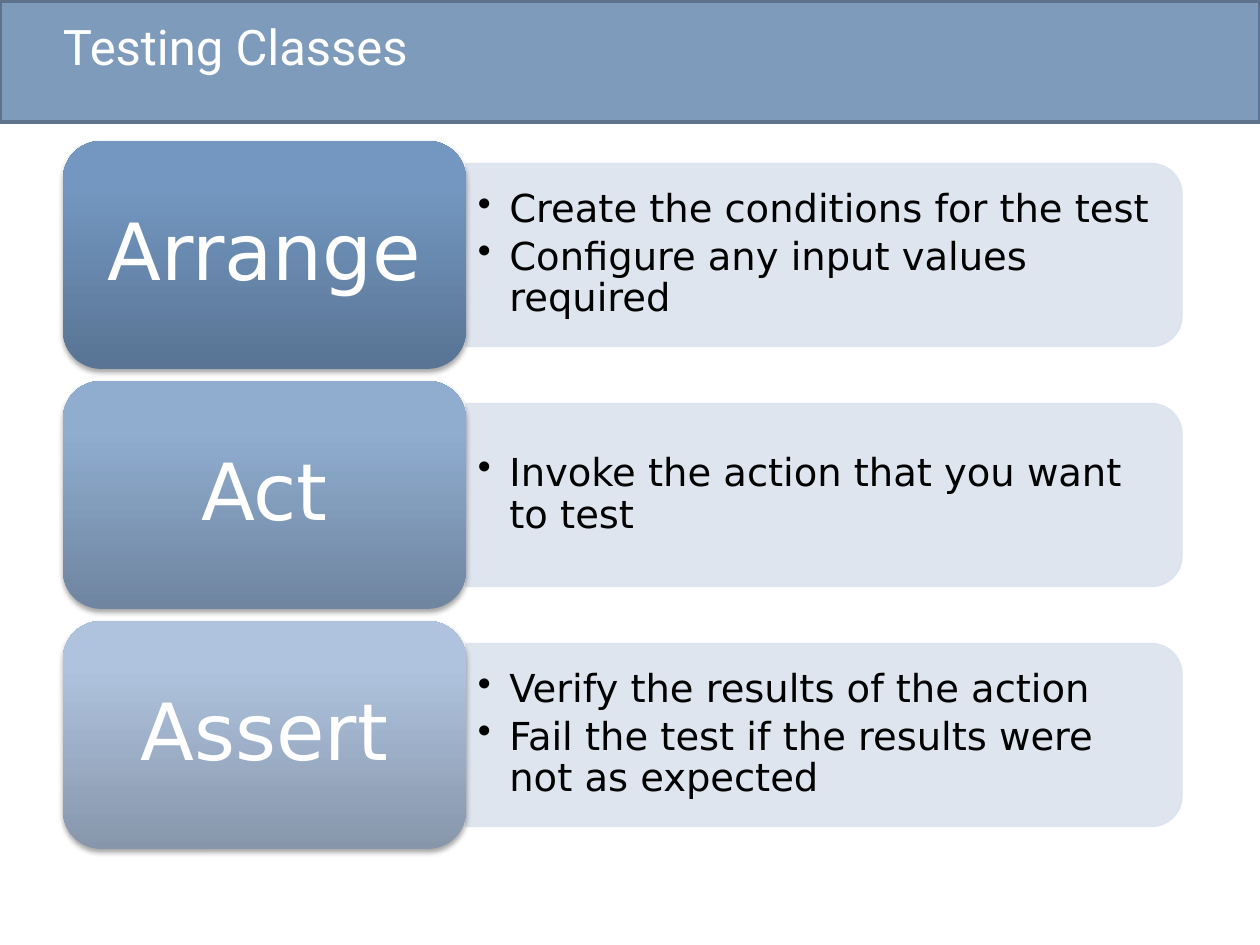
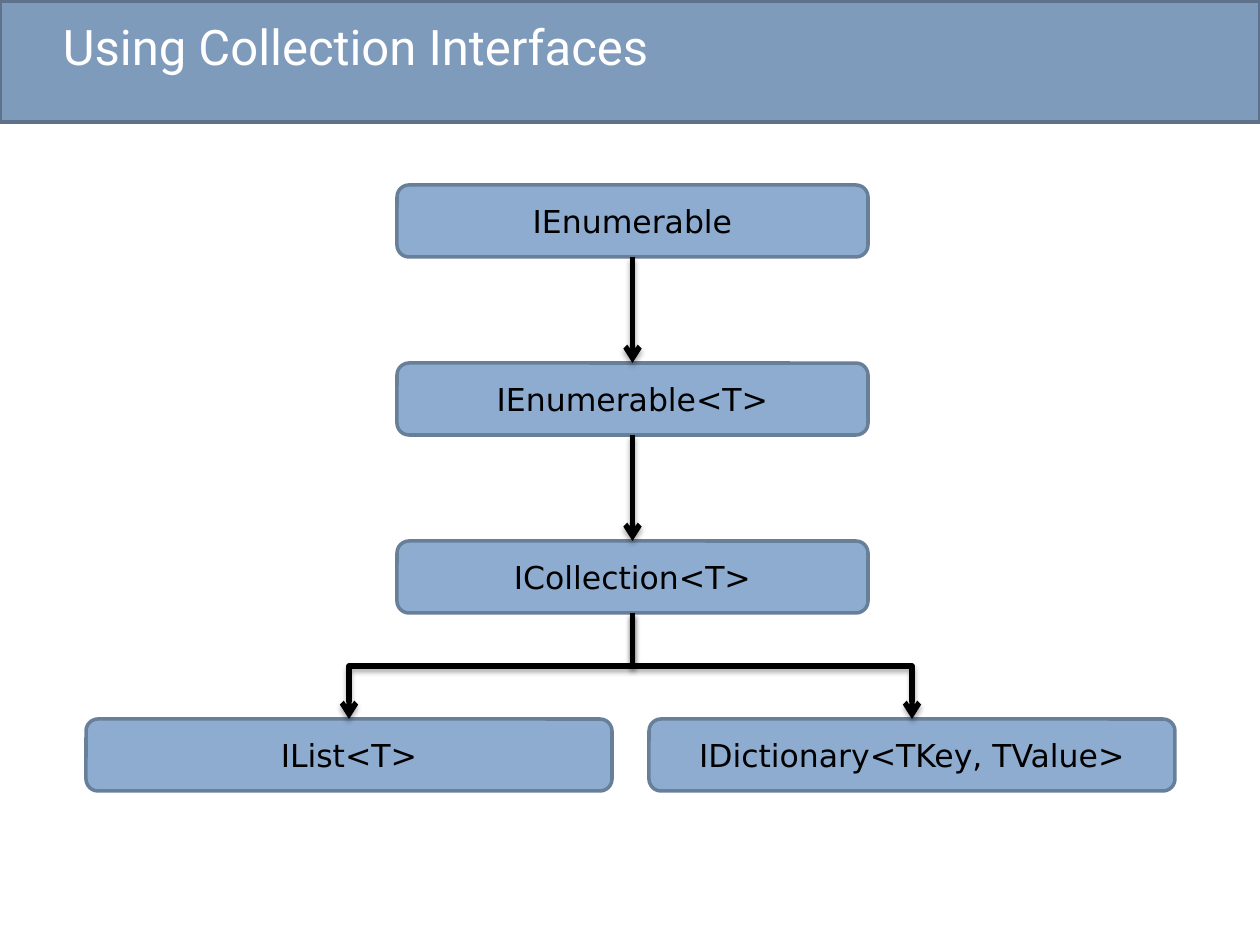
from lxml.etree import SubElement
from pptx import Presentation
from pptx.dml.color import RGBColor
from pptx.enum.shapes import MSO_CONNECTOR as CXN, MSO_SHAPE as SHAPE
from pptx.enum.text import MSO_ANCHOR as ANCHOR, PP_ALIGN as ALIGN
from pptx.oxml.ns import qn
from pptx.util import Emu, Pt

# Content
STEPS = [
    ("Arrange", ["Create the conditions for the test",
                 "Configure any input values required"],
     ("597494", "7397C0", "7297C2")),
    ("Act", ["Invoke the action that you want to test"],
     ("6F85A0", "90ADD0", "8FADD2")),
    ("Assert", ["Verify the results of the action",
                "Fail the test if the results were not as expected"],
     ("8796AB", "AFC3DE", "AFC4E0")),
]
CHAIN = ["IEnumerable", "IEnumerable<T>", "ICollection<T>"]
LEAVES = ["IList<T>", "IDictionary<TKey, TValue>"]

# Shared style
COLORS = {"band": "7F9BBC", "band_line": "5E738B", "panel": "DBE3EE",
          "box": "8DACD0", "box_line": "687F9A", "text": "000000",
          "light": "FFFFFF", "arrow": "000000"}
BODY, HEAD = "DejaVu Sans", "Roboto"
GRADIENT_STOPS = (0, 80, 100)


def px(n):
    return Emu(round(n * 914400 / 126))


def rgb(name):
    return RGBColor.from_string(COLORS[name])


def add_shape(s, kind, box, fill=None, line=None, width=2):
    sp = s.shapes.add_shape(kind, *map(px, box))
    sp.shadow.inherit = False
    if fill:
        sp.fill.solid()
        sp.fill.fore_color.rgb = rgb(fill)
    if line:
        sp.line.color.rgb = rgb(line)
        sp.line.width = Pt(width)
    else:
        sp.line.fill.background()
    return sp


def write(sp, lines, size, color="text", font=BODY, align=ALIGN.CENTER,
          insets=(25, 6, 25, 6), spacing=None, after=None, bullet=False):
    tf = sp.text_frame
    tf.word_wrap = True
    tf.vertical_anchor = ANCHOR.MIDDLE
    (tf.margin_left, tf.margin_top,
     tf.margin_right, tf.margin_bottom) = map(px, insets)
    for i, text in enumerate(lines):
        p = tf.add_paragraph() if i else tf.paragraphs[0]
        p.alignment = align
        if spacing:
            p.line_spacing = spacing
        if after:
            p.space_after = Pt(after)
        if bullet:
            pPr = p._p.get_or_add_pPr()
            pPr.set("marL", "228600")
            pPr.set("indent", "-228600")
            SubElement(pPr, qn("a:buChar"), char="•")
        r = p.add_run()
        r.text = text
        r.font.size, r.font.name = Pt(size), font
        r.font.color.rgb = rgb(color)


def add_shadow(sp):
    spPr = sp._element.spPr
    effects = spPr.find(qn("a:effectLst"))
    if effects is None:
        effects = SubElement(spPr, qn("a:effectLst"))
    shadow = SubElement(effects, qn("a:outerShdw"), blurRad="39400", dist="22900",
                        dir="5400000", rotWithShape="0")
    color = SubElement(shadow, qn("a:srgbClr"), val="000000")
    SubElement(color, qn("a:alpha"), val="35000")


def set_gradient(sp, colors):
    sp.fill.gradient()
    sp.fill.gradient_angle = 90
    stops = sp._element.spPr.find(".//" + qn("a:gsLst"))
    for old in list(stops):
        stops.remove(old)
    for pos, color in zip(GRADIENT_STOPS, colors):
        gs = SubElement(stops, qn("a:gs"), pos=str(pos * 1000))
        SubElement(gs, qn("a:srgbClr"), val=color)


def connect(s, start, end, kind=CXN.STRAIGHT):
    cx = s.shapes.add_connector(kind, 0, 0, 0, 0)
    cx.begin_connect(start, 2)
    cx.end_connect(end, 0)
    cx.line.color.rgb = rgb("arrow")
    cx.line.width = Pt(3)
    spPr = cx._element.spPr
    SubElement(spPr.find(qn("a:ln")), qn("a:tailEnd"), type="arrow")
    add_shadow(cx)
    if kind == CXN.ELBOW:
        # Turn the elbow about its centre so that it leaves downwards
        w, h = cx.width, cx.height
        cx.left, cx.top = cx.left + (w - h) // 2, cx.top + (h - w) // 2
        cx.width, cx.height = h, w
        xfrm = spPr.find(qn("a:xfrm"))
        leftwards = xfrm.flipH
        xfrm.flipH = not leftwards
        xfrm.set("rot", str((90 if leftwards else 270) * 60000))


def new_slide(title):
    s = prs.slides.add_slide(prs.slide_layouts[6])
    add_shape(s, SHAPE.RECTANGLE, (0, 1, 1260, 121), "band", "band_line")
    write(s.shapes.add_textbox(*map(px, (63, 0, 1071, 102))), [title], 28,
          "light", HEAD, ALIGN.LEFT, (0, 6, 13, 6), spacing=0.85)
    return s


prs = Presentation()
prs.slide_width, prs.slide_height = px(1260), px(945)

# Slide 1: a card with a panel of bullets for each step
s = new_slide("Testing Classes")
CARD_X, CARD_Y, CARD_W, CARD_H, STEP_PITCH = 63, 141, 403, 228, 240
PANEL_X, PANEL_W, PANEL_H = CARD_X + CARD_W, 716, 183
for i, (name, points, colors) in enumerate(STEPS):
    y = CARD_Y + i * STEP_PITCH
    middle = y + CARD_H / 2
    panel = add_shape(s, SHAPE.ROUND_2_SAME_RECTANGLE,
                      (PANEL_X + (PANEL_W - PANEL_H) / 2, middle - PANEL_W / 2,
                       PANEL_H, PANEL_W), "panel", "panel", 0.75)
    panel.rotation = 90
    for color in panel._element.spPr.iter(qn("a:srgbClr")):
        SubElement(color, qn("a:alpha"), val="90000")
    body = s.shapes.add_textbox(*map(px, (PANEL_X, middle - 82.5, 707, 165)))
    write(body, points, 22, align=ALIGN.LEFT, insets=(12, 6, 12, 6),
          spacing=0.9, after=3.3, bullet=True)
    card = add_shape(s, SHAPE.ROUNDED_RECTANGLE, (CARD_X, y, CARD_W, CARD_H))
    set_gradient(card, colors)
    add_shadow(card)
    write(card, [name], 45, "light", insets=(24, 12, 24, 12), spacing=0.9)

# Slide 2: a chain of interfaces that splits into two
s = new_slide("Using Collection Interfaces")
TOP, BOX_H, ROW_PITCH = 185, 72, 178
CHAIN_X, CHAIN_W = 397, 471
LEAF_X, LEAF_W, LEAF_GAP = 86, 526, 37


def add_box(text, x, row, w):
    sp = add_shape(s, SHAPE.ROUNDED_RECTANGLE,
                   (x, TOP + row * ROW_PITCH, w, BOX_H), "box", "box_line")
    write(sp, [text], 18)
    return sp


chain = [add_box(t, CHAIN_X, i, CHAIN_W) for i, t in enumerate(CHAIN)]
leaves = [add_box(t, LEAF_X + i * (LEAF_W + LEAF_GAP), len(CHAIN), LEAF_W)
          for i, t in enumerate(LEAVES)]
for upper, lower in zip(chain, chain[1:]):
    connect(s, upper, lower)
for leaf in leaves:
    connect(s, chain[-1], leaf, CXN.ELBOW)

prs.save("out.pptx")
